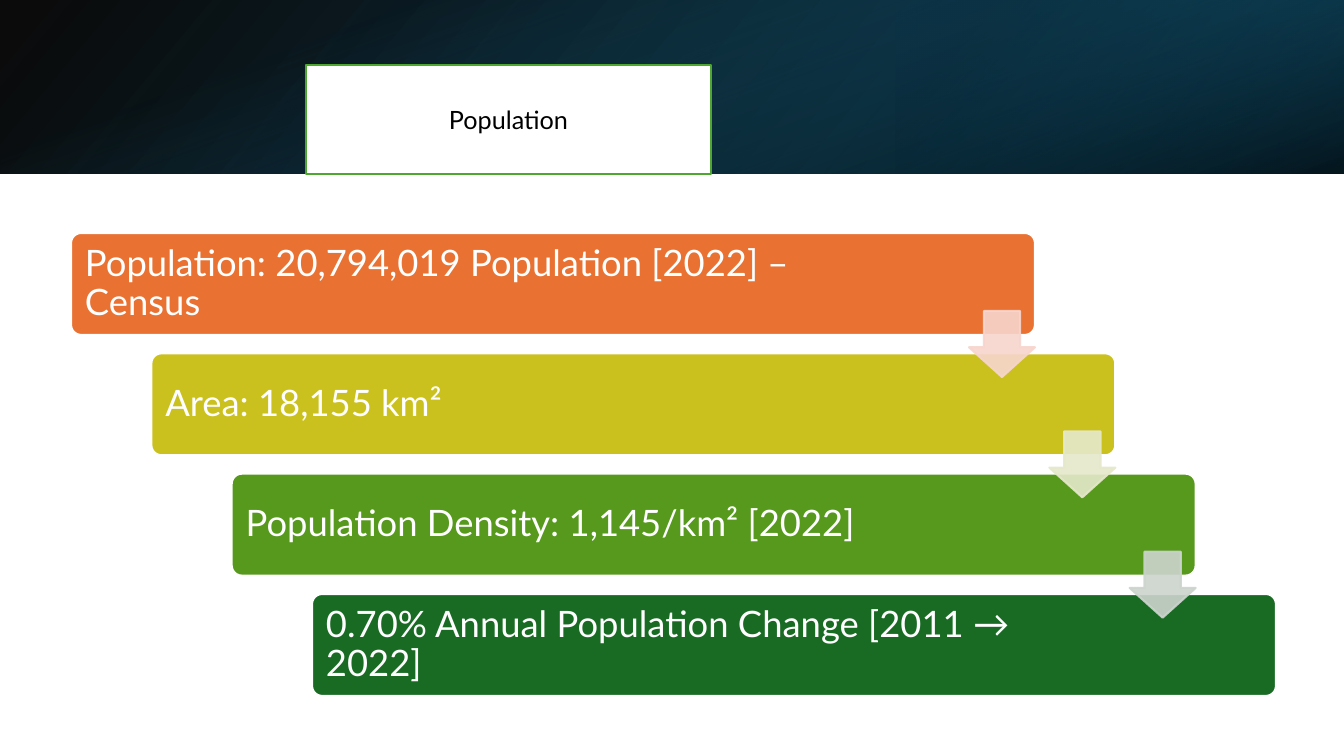
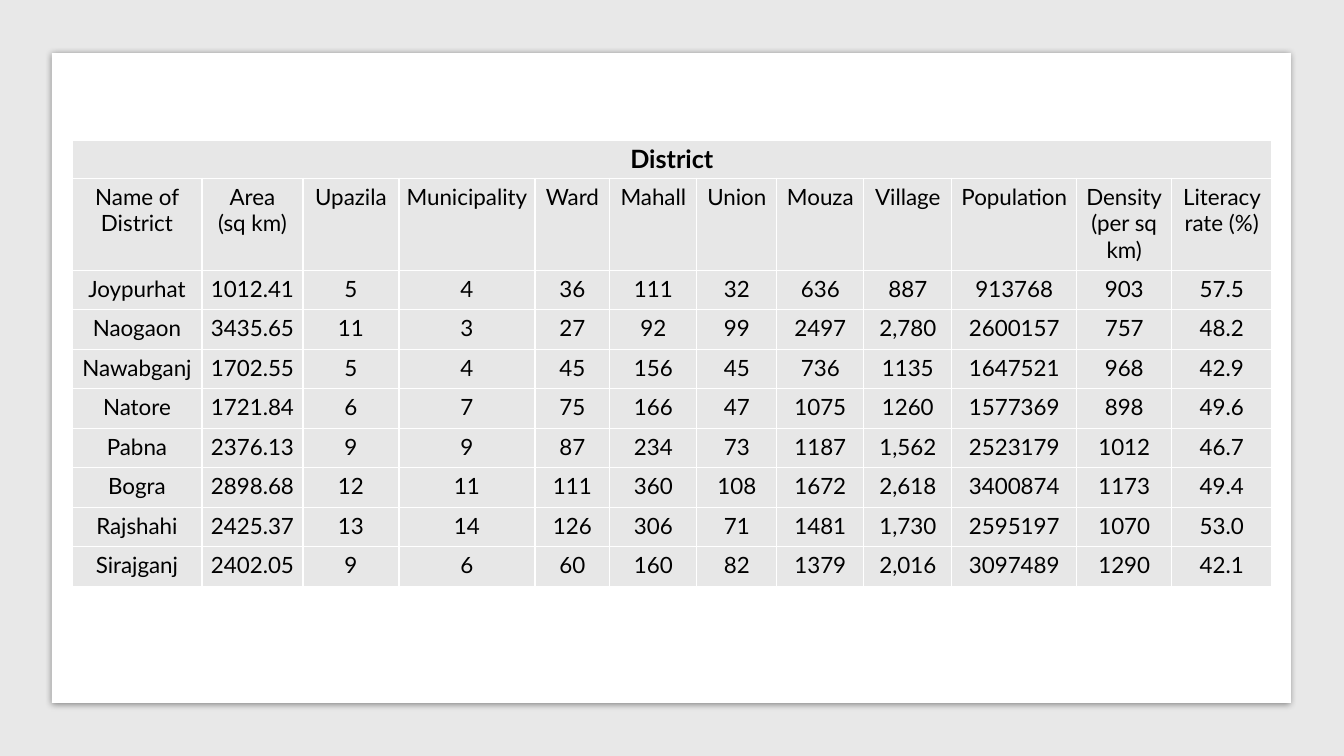
from dataclasses import dataclass

from lxml.etree import SubElement
from pptx import Presentation
from pptx.dml.color import RGBColor
from pptx.enum.shapes import MSO_SHAPE as Shape
from pptx.enum.text import MSO_ANCHOR as Anchor, PP_ALIGN as Align
from pptx.oxml.ns import qn
from pptx.util import Pt

EMU_PER_PX = 914400 / 100.8
SLIDE_WIDTH, SLIDE_HEIGHT = 1344, 756


@dataclass(frozen=True)
class Theme:
    font: str = "Lato"
    black: str = "000000"
    white: str = "FFFFFF"
    page: str = "E8E8E8"
    cell: str = "E7E7E7"
    title_line: str = "4EA72E"
    title_size: int = 18
    step_size: int = 26
    table_size: int = 16
    line_width: float = 1.5


THEME = Theme()

# Colour, position in % and opacity in % of each stop
BAND_LAYERS = [
    {"start": ("000000", 0, 96), "end": ("104862", 100, 100), "angle": 140},
    {"start": ("0B3041", 19, 68), "end": ("156082", 100, 79), "angle": 320},
    {"start": ("156082", 23, 0), "end": ("000000", 99, 74), "angle": 340},
]
STEPS = [
    ("Population: 20,794,019 Population [2022] – Census", "E97132"),
    ("Area: 18,155 km²", "CBC11E"),
    ("Population Density: 1,145/km² [2022]", "56991D"),
    ("0.70% Annual Population Change [2011 → 2022]", "196B24"),
]
ARROW_COLORS = ["F7D5CE", "E5E8CA", "CCD4CD"]

COLUMN_WIDTHS = [130, 101, 96, 136, 75, 87, 80, 87, 88, 125, 95, 100]
HEADINGS = ["Name of District", "Area\n(sq km)", "Upazila", "Municipality", "Ward", "Mahall",
            "Union", "Mouza", "Village", "Population", "Density\n(per sq km)",
            "Literacy rate (%)"]
DISTRICTS = [
    ["Joypurhat", "1012.41", "5", "4", "36", "111", "32", "636", "887", "913768", "903", "57.5"],
    ["Naogaon", "3435.65", "11", "3", "27", "92", "99", "2497", "2,780", "2600157", "757", "48.2"],
    ["Nawabganj", "1702.55", "5", "4", "45", "156", "45", "736", "1135", "1647521", "968", "42.9"],
    ["Natore", "1721.84", "6", "7", "75", "166", "47", "1075", "1260", "1577369", "898", "49.6"],
    ["Pabna", "2376.13", "9", "9", "87", "234", "73", "1187", "1,562", "2523179", "1012", "46.7"],
    ["Bogra", "2898.68", "12", "11", "111", "360", "108", "1672", "2,618", "3400874", "1173", "49.4"],
    ["Rajshahi", "2425.37", "13", "14", "126", "306", "71", "1481", "1,730", "2595197", "1070", "53.0"],
    ["Sirajganj", "2402.05", "9", "6", "60", "160", "82", "1379", "2,016", "3097489", "1290", "42.1"],
]


def px(length):
    return round(length * EMU_PER_PX)


def rgb(color):
    return RGBColor.from_string(color)


def set_attributes(target, values):
    for name, value in values.items():
        setattr(target, name, value)


def set_opacity(shape, opacities):
    """Apply opacities in % to the shape's colours, in the order they are stored."""
    for color, opacity in zip(shape._element.spPr.iter(qn("a:srgbClr")), opacities):
        SubElement(color, qn("a:alpha"), val=str(opacity * 1000))


def add_box(slide, box, fill=None, line=None, kind=Shape.RECTANGLE):
    shape = slide.shapes.add_shape(kind, *map(px, box))
    shape.shadow.inherit = False
    if fill:
        shape.fill.solid()
        shape.fill.fore_color.rgb = rgb(fill)
    if line:
        shape.line.color.rgb = rgb(line)
        shape.line.width = Pt(THEME.line_width)
    else:
        shape.line.fill.background()
    return shape


def write(text_frame, text, size, color, paragraph_format, bold=False):
    paragraph = text_frame.paragraphs[0]
    paragraph.text = text
    set_attributes(paragraph, paragraph_format)
    set_attributes(paragraph.font, {"name": THEME.font, "size": Pt(size), "bold": bold})
    paragraph.font.color.rgb = rgb(color)


def add_gradient_box(slide, box, layer):
    shape = add_box(slide, box)
    stops = [layer["start"], layer["end"]]
    shape.fill.gradient()
    shape.fill.gradient_angle = 360 - layer["angle"]
    for gradient_stop, (color, position, _) in zip(shape.fill.gradient_stops, stops):
        gradient_stop.color.rgb = rgb(color)
        gradient_stop.position = position / 100
    set_opacity(shape, [opacity for _, _, opacity in stops])
    return shape


def add_band(slide, box):
    """Stack three gradients: full width, right third, and a quarter-turned sheen."""
    left, top, width, height = box
    third = width // 3
    offset = (width - height) / 2
    boxes = [
        box,
        (left + width - third, top, third, height),
        (left + offset, top - offset, height, width),
    ]
    base, right_third, sheen = [
        add_gradient_box(slide, layer_box, layer) for layer_box, layer in zip(boxes, BAND_LAYERS)
    ]
    for shape in (base, right_third):
        shape._element.spPr.find(qn("a:xfrm")).set("flipH", "1")
    right_third.rotation = 180
    sheen.rotation = 90


def add_title(slide, box, text):
    shape = add_box(slide, box, THEME.white, THEME.title_line)
    set_attributes(shape.text_frame, {"word_wrap": True, "vertical_anchor": Anchor.MIDDLE})
    write(shape.text_frame, text, THEME.title_size, THEME.black, {"alignment": Align.CENTER})


def add_staircase(slide, box):
    left, top, width, height = box
    step_width, step_height, arrow_size, arrow_drop = 964, 102, 66, 78
    gaps = len(STEPS) - 1
    run, rise = (width - step_width) / gaps, (height - step_height) / gaps
    margins = {"margin_left": px(11), "margin_right": px(200),
               "margin_top": px(8), "margin_bottom": px(8)}

    for index, (text, color) in enumerate(STEPS):
        step_box = (left + index * run, top + index * rise, step_width, step_height)
        step = add_box(slide, step_box, color, THEME.white, Shape.ROUNDED_RECTANGLE)
        step.adjustments[0] = 0.1
        set_attributes(step.text_frame,
                       {"word_wrap": True, "vertical_anchor": Anchor.MIDDLE, **margins})
        write(step.text_frame, text, THEME.step_size, THEME.white,
              {"alignment": Align.LEFT, "line_spacing": 0.9})

    for index, color in enumerate(ARROW_COLORS):
        arrow_box = (left + index * run + step_width - arrow_size,
                     top + index * rise + arrow_drop, arrow_size, arrow_size)
        arrow = add_box(slide, arrow_box, color, color, Shape.DOWN_ARROW)
        arrow.adjustments[0], arrow.adjustments[1] = 0.55, 0.45
        set_opacity(arrow, [90, 90])


def add_panel(slide, box):
    """Add a white sheet with a soft shadow below it."""
    panel = add_box(slide, box, THEME.white)
    effects = panel._element.spPr.find(qn("a:effectLst"))
    shadow = SubElement(effects, qn("a:outerShdw"), blurRad=str(Pt(5)), dist=str(Pt(1.4)),
                        dir="5400000", algn="t", rotWithShape="0")
    color = SubElement(shadow, qn("a:srgbClr"), val=THEME.black)
    SubElement(color, qn("a:alpha"), val="43000")


def style_cell(cell, margins):
    properties = cell._tc.get_or_add_tcPr()
    for side in ("lnL", "lnR", "lnT", "lnB"):
        border = SubElement(properties, qn(f"a:{side}"), w=str(Pt(1)))
        fill = SubElement(border, qn("a:solidFill"))
        SubElement(fill, qn("a:srgbClr"), val=THEME.white)
    cell.fill.solid()
    cell.fill.fore_color.rgb = rgb(THEME.cell)
    horizontal, vertical = map(px, margins)
    set_attributes(cell, {"margin_left": horizontal, "margin_right": horizontal,
                          "margin_top": vertical, "margin_bottom": vertical})


def add_district_table(slide, box):
    title_height, heading_height = 38, 92
    body_height = (box[3] - title_height - heading_height) / len(DISTRICTS)
    rows = [HEADINGS, *DISTRICTS]
    frame = slide.shapes.add_table(len(rows) + 1, len(HEADINGS), *map(px, box))
    table = frame.table
    set_attributes(table, {"first_row": False, "horz_banding": False})
    for column, width in zip(table.columns, COLUMN_WIDTHS):
        column.width = px(width)
    heights = [title_height, heading_height] + [body_height] * len(DISTRICTS)
    for row, height in zip(table.rows, heights):
        row.height = px(height)

    title = table.cell(0, 0)
    title.merge(table.cell(0, len(HEADINGS) - 1))
    for cell in table.rows[0].cells:
        style_cell(cell, (9, 4))
    write(title.text_frame, "District", THEME.title_size, THEME.black,
          {"alignment": Align.CENTER}, bold=True)

    for row_index, values in enumerate(rows, start=1):
        paragraph_format = {"alignment": Align.CENTER}
        if values is HEADINGS:
            paragraph_format["space_after"] = Pt(7.5)
        for cell, value in zip(table.rows[row_index].cells, values):
            style_cell(cell, (5, 5))
            write(cell.text_frame, value, THEME.table_size, THEME.black, paragraph_format)


def build_population_slide(slide):
    add_band(slide, (0, 0, SLIDE_WIDTH, 174))
    add_staircase(slide, (71, 233, 1205, 463))
    add_title(slide, (306, 65, 405, 109), "Population")


def build_district_slide(slide):
    add_box(slide, (0, 0, SLIDE_WIDTH, SLIDE_HEIGHT), THEME.page)
    add_panel(slide, (52, 53, 1239, 650))
    add_district_table(slide, (72, 140, sum(COLUMN_WIDTHS), 446))


def main():
    presentation = Presentation()
    set_attributes(presentation,
                   {"slide_width": px(SLIDE_WIDTH), "slide_height": px(SLIDE_HEIGHT)})
    blank_layout = presentation.slide_layouts[6]
    for build in (build_population_slide, build_district_slide):
        build(presentation.slides.add_slide(blank_layout))
    presentation.save("out.pptx")


if __name__ == "__main__":
    main()
